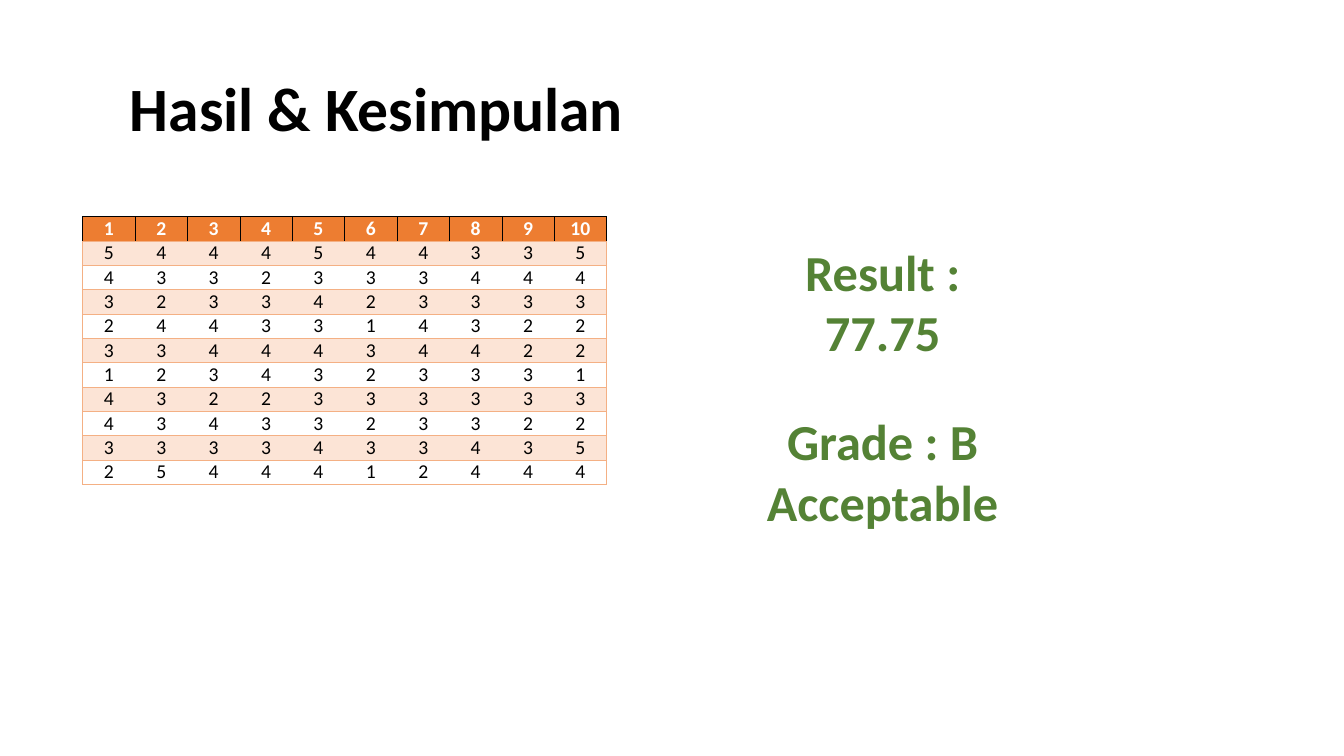
from dataclasses import dataclass
from typing import Optional

from lxml.etree import SubElement
from pptx import Presentation
from pptx.dml.color import RGBColor
from pptx.enum.text import MSO_ANCHOR, PP_ALIGN
from pptx.oxml.ns import qn
from pptx.slide import Slide
from pptx.table import _Cell
from pptx.text.text import TextFrame
from pptx.util import Inches, Pt

SLIDE_WIDTH, SLIDE_HEIGHT = Inches(13.33), Inches(7.5)


@dataclass(frozen=True)
class Theme:
    font: str = "Calibri"
    ink: str = "000000"
    header_ink: str = "FFFFFF"
    header_fill: str = "ED7D31"
    band_fill: str = "FCE4D6"
    rule: str = "F4B084"
    verdict: str = "548235"
    title_size: int = 44
    verdict_size: int = 36
    score_size: int = 14
    rule_width: float = 0.5


@dataclass(frozen=True)
class Area:
    """Place and size in percent of the slide."""
    left: float
    top: float
    width: float
    height: float

    def box(self) -> tuple[int, int, int, int]:
        return (int(SLIDE_WIDTH * self.left / 100), int(SLIDE_HEIGHT * self.top / 100),
                int(SLIDE_WIDTH * self.width / 100), int(SLIDE_HEIGHT * self.height / 100))


@dataclass(frozen=True)
class Message:
    text: str
    area: Area
    size: int
    color: str
    align: PP_ALIGN = PP_ALIGN.CENTER
    anchor: MSO_ANCHOR = MSO_ANCHOR.TOP
    spacing: float = 1.0
    side_inset: float = 0.15


THEME = Theme()

MESSAGES = [
    Message("Hasil & Kesimpulan", Area(8.93, 9.6, 86.27, 10.4), THEME.title_size, THEME.ink,
            PP_ALIGN.LEFT, MSO_ANCHOR.MIDDLE, 0.9, 0.1),
    Message("Result : 77.75", Area(54.54, 31.2, 22.28, 25.6), THEME.verdict_size, THEME.verdict),
    Message("Grade : B\nAcceptable", Area(54.54, 53.6, 22.28, 25.6),
            THEME.verdict_size, THEME.verdict),
]

SCORES_AREA = Area(6.15, 28.67, 39.01, 35.4)
QUESTIONS = range(1, 11)
SCORES = [
    [5, 4, 4, 4, 5, 4, 4, 3, 3, 5],
    [4, 3, 3, 2, 3, 3, 3, 4, 4, 4],
    [3, 2, 3, 3, 4, 2, 3, 3, 3, 3],
    [2, 4, 4, 3, 3, 1, 4, 3, 2, 2],
    [3, 3, 4, 4, 4, 3, 4, 4, 2, 2],
    [1, 2, 3, 4, 3, 2, 3, 3, 3, 1],
    [4, 3, 2, 2, 3, 3, 3, 3, 3, 3],
    [4, 3, 4, 3, 3, 2, 3, 3, 2, 2],
    [3, 3, 3, 3, 4, 3, 3, 4, 3, 5],
    [2, 5, 4, 4, 4, 1, 2, 4, 4, 4],
]


def style_text(frame: TextFrame, size: int, color: str, bold: bool, align: PP_ALIGN) -> None:
    for paragraph in frame.paragraphs:
        paragraph.alignment = align
        for run in paragraph.runs:
            run.font.name = THEME.font
            run.font.size = Pt(size)
            run.font.bold = bold
            run.font.color.rgb = RGBColor.from_string(color)


def add_message(slide: Slide, message: Message) -> None:
    frame = slide.shapes.add_textbox(*message.area.box()).text_frame
    frame.word_wrap = True
    frame.vertical_anchor = message.anchor
    frame.margin_left = frame.margin_right = Inches(message.side_inset)
    frame.text = message.text
    style_text(frame, message.size, message.color, True, message.align)
    for paragraph in frame.paragraphs:
        paragraph.line_spacing = message.spacing


def add_border(cell: _Cell, side: str, color: Optional[str]) -> None:
    line = SubElement(cell._tc.get_or_add_tcPr(), qn(f"a:ln{side}"),
                      w=str(Pt(THEME.rule_width)))
    if color is None:
        SubElement(line, qn("a:noFill"))
    else:
        SubElement(SubElement(line, qn("a:solidFill")), qn("a:srgbClr"), val=color)


def style_score(cell: _Cell, row: int, column: int) -> None:
    is_header = row == 0
    cell.vertical_anchor = MSO_ANCHOR.MIDDLE
    cell.margin_left = cell.margin_right = cell.margin_top = cell.margin_bottom = 0
    style_text(cell.text_frame, THEME.score_size,
               THEME.header_ink if is_header else THEME.ink, is_header, PP_ALIGN.CENTER)

    # Black rules around the header cells, light rules between and around the body rows
    edge = THEME.ink if is_header else THEME.rule
    inner = THEME.ink if is_header else None
    add_border(cell, "L", edge if column == 0 else inner)
    add_border(cell, "R", edge if column == len(QUESTIONS) - 1 else inner)
    add_border(cell, "T", edge)
    add_border(cell, "B", THEME.rule)

    # Every other body row is banded
    if row > 0 and row % 2 == 0:
        cell.fill.background()
    else:
        cell.fill.solid()
        fill = THEME.header_fill if is_header else THEME.band_fill
        cell.fill.fore_color.rgb = RGBColor.from_string(fill)


def add_scores(slide: Slide) -> None:
    rows = [list(QUESTIONS), *SCORES]
    left, top, width, height = SCORES_AREA.box()
    table = slide.shapes.add_table(len(rows), len(QUESTIONS), left, top, width, height).table
    table.horz_banding = False
    for row, values in enumerate(rows):
        for column, value in enumerate(values):
            cell = table.cell(row, column)
            cell.text_frame.text = str(value)
            style_score(cell, row, column)


def main() -> None:
    deck = Presentation()
    deck.slide_width, deck.slide_height = SLIDE_WIDTH, SLIDE_HEIGHT
    slide = deck.slides.add_slide(deck.slide_layouts[6])

    # Scores per question
    add_scores(slide)

    # Title, result and grade
    for message in MESSAGES:
        add_message(slide, message)

    deck.save("out.pptx")


if __name__ == "__main__":
    main()
